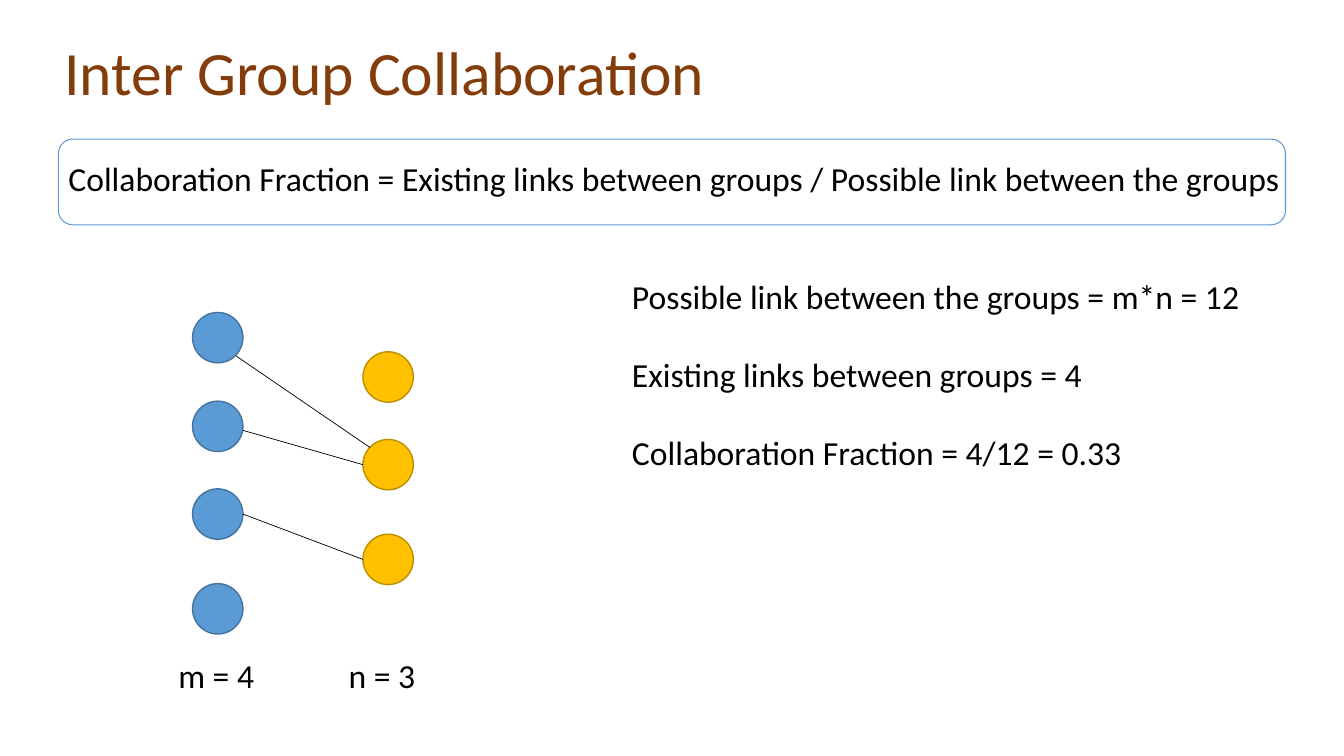
from dataclasses import dataclass

from lxml.etree import SubElement
from pptx import Presentation
from pptx.dml.color import RGBColor
from pptx.enum.shapes import MSO_CONNECTOR as Connector, MSO_SHAPE as Preset
from pptx.enum.text import MSO_ANCHOR as Anchor
from pptx.oxml.ns import qn
from pptx.slide import Slide
from pptx.util import Inches, Pt

COLORS = {
    "title": "843C0B",
    "text": "000000",
    "blue": "5B9BD5",
    "blue edge": "43739E",
    "gold": "FFC000",
    "gold edge": "BD8E00",
}
NODE_SIZE = 0.5


@dataclass(frozen=True)
class Label:
    text: str
    left: float
    top: float
    width: float
    height: float = 0.49
    size: int = 24
    color: str = "text"
    space_before: int = 10
    anchor: Anchor = Anchor.TOP


@dataclass(frozen=True)
class Group:
    left: float
    tops: tuple[float, ...]
    color: str


@dataclass(frozen=True)
class Link:
    start: tuple[float, float]
    end: tuple[float, float]


FACTS = (
    "Possible link between the groups = m*n = 12",
    "Existing links between groups = 4",
    "Collaboration Fraction = 4/12 = 0.33",
)
LABELS = [
    Label("Inter Group Collaboration", 0.54, 0.28, 8.04, 0.93, 44, "title", 0, Anchor.MIDDLE),
    Label(
        "Collaboration Fraction = Existing links between groups / Possible link between the groups",
        0.58, 1.56, 12.55,
    ),
    Label("m = 4", 1.67, 6.49, 0.98),
    Label("n = 3", 3.36, 6.49, 0.98),
    *(Label(fact, 6.17, 2.73 + 0.775 * row, 6.43) for row, fact in enumerate(FACTS)),
]
GROUPS = [
    Group(1.91, (3.1, 3.98, 4.85, 5.79), "blue"),
    Group(3.6, (3.49, 4.36, 5.3), "gold"),
]
LINKS = [
    Link((2.34, 3.53), (3.67, 4.44)),
    Link((2.41, 4.27), (3.6, 4.61)),
    Link((2.41, 5.1), (3.6, 5.55)),
]


def rgb(name: str) -> RGBColor:
    return RGBColor.from_string(COLORS[name])


def apply_format(target: object, values: dict[str, object]) -> None:
    for name, value in values.items():
        setattr(target, name, value)


def draw_label(page: Slide, label: Label) -> None:
    place = (label.left, label.top, label.width, label.height)
    box = page.shapes.add_textbox(*map(Inches, place))
    frame = box.text_frame
    apply_format(frame, {"word_wrap": True, "vertical_anchor": label.anchor})
    para = frame.paragraphs[0]
    apply_format(para, {"line_spacing": 0.9, "space_before": Pt(label.space_before)})
    span = para.add_run()
    span.text = label.text
    apply_format(span.font, {"name": "Calibri", "size": Pt(label.size)})
    span.font.color.rgb = rgb(label.color)


def draw_formula_frame(page: Slide) -> None:
    outline = page.shapes.add_shape(
        Preset.ROUNDED_RECTANGLE, *map(Inches, (0.58, 1.38, 12.17, 0.85))
    )
    outline.shadow.inherit = False
    outline.fill.background()
    outline.line.color.rgb = rgb("blue")
    outline.line.width = Pt(0.75)


def draw_group(page: Slide, group: Group) -> None:
    for top in group.tops:
        place = (group.left, top, NODE_SIZE, NODE_SIZE)
        node = page.shapes.add_shape(Preset.OVAL, *map(Inches, place))
        node.shadow.inherit = False
        node.fill.solid()
        node.fill.fore_color.rgb = rgb(group.color)
        node.line.color.rgb = rgb(f"{group.color} edge")
        node.line.width = Pt(1)


def draw_link(page: Slide, link: Link) -> None:
    connector = page.shapes.add_connector(
        Connector.STRAIGHT, *map(Inches, link.start + link.end)
    )
    connector.line.color.rgb = rgb("text")
    connector.line.width = Pt(0.5)
    SubElement(connector._element.spPr, qn("a:effectLst"))


def main() -> None:
    deck = Presentation()
    apply_format(deck, {"slide_width": Inches(13.33), "slide_height": Inches(7.5)})
    page = deck.slides.add_slide(deck.slide_layouts[6])
    draw_formula_frame(page)
    for group in GROUPS:
        draw_group(page, group)
    for link in LINKS:
        draw_link(page, link)
    for label in LABELS:
        draw_label(page, label)
    deck.save("out.pptx")


if __name__ == "__main__":
    main()
